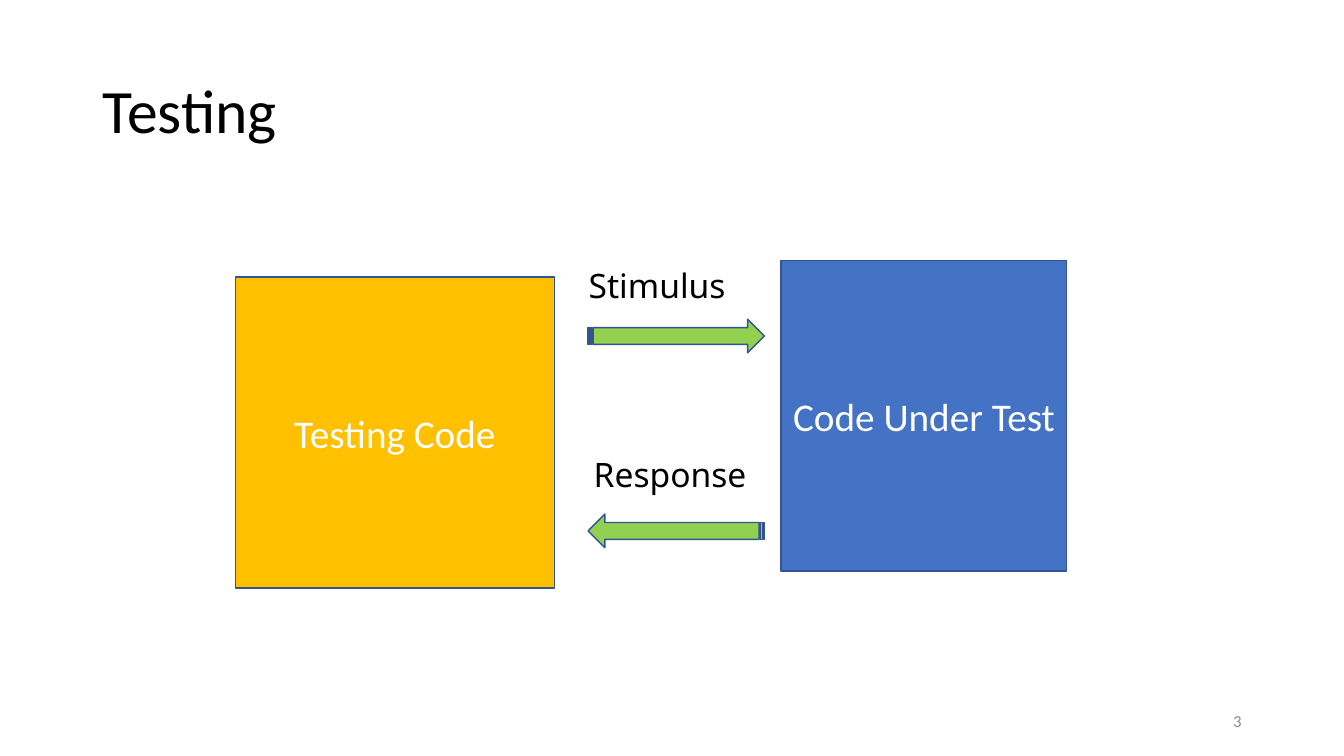
from pptx import Presentation
from pptx import util as u
from pptx.dml.color import RGBColor
from pptx.enum import shapes, text

COLUMNS, ROWS = 160, 90
CELL = u.Inches(1) / 12
OUTLINE, GREEN, AMBER, BLUE = "325491", "92D050", "FFC000", "4472C4"
BLACK, WHITE, GREY = "000000", "FFFFFF", "8C8C8C"


def grid(*cells):
    """Turn counts of grid cells into slide lengths."""
    return [u.Emu(round(count * CELL)) for count in cells]


def paint(target, colour):
    """Give a fill or a line's fill a solid colour from a hex string."""
    target.solid()
    target.fore_color.rgb = RGBColor.from_string(colour)


def write(shape, words, size, colour, font="Calibri", align=text.PP_ALIGN.LEFT,
          anchor=text.MSO_ANCHOR.MIDDLE, wrap=True, spacing=1.0):
    """Put formatted text into a shape."""
    frame = shape.text_frame
    frame.word_wrap = wrap
    frame.auto_size = text.MSO_AUTO_SIZE.NONE if wrap else text.MSO_AUTO_SIZE.SHAPE_TO_FIT_TEXT
    frame.vertical_anchor = anchor
    paragraph = frame.paragraphs[0]
    paragraph.alignment = align
    paragraph.line_spacing = spacing
    run = paragraph.add_run()
    run.text = words
    run.font.size = u.Pt(size)
    run.font.name = font
    paint(run.font.fill, colour)


def add_figure(slide, kind, cells, colour):
    """Add an outlined preset shape without a shadow."""
    shape = slide.shapes.add_shape(kind, *grid(*cells))
    shape.shadow.inherit = False
    paint(shape.fill, colour)
    paint(shape.line.fill, OUTLINE)
    shape.line.width = u.Pt(1)
    return shape


def add_block(slide, words, cells, colour):
    """Add a labelled block of code."""
    block = add_figure(slide, shapes.MSO_SHAPE.RECTANGLE, cells, colour)
    write(block, words, 28, WHITE, align=text.PP_ALIGN.CENTER)


def add_message(slide, words, label_cells, arrow_row, rotation=0):
    """Add a striped arrow between the blocks and its label."""
    arrow = add_figure(slide, shapes.MSO_SHAPE.STRIPED_RIGHT_ARROW,
                       (70, arrow_row, 21, 4), GREEN)
    arrow.rotation = rotation
    label = slide.shapes.add_textbox(*grid(*label_cells))
    write(label, words, 24, BLACK, font="Noto Sans",
          anchor=text.MSO_ANCHOR.TOP, wrap=False)


def add_title(slide, words):
    """Place and fill the title placeholder."""
    title = slide.shapes.title
    title.left, title.top, title.width, title.height = grid(11, 4.8, 138, 17.4)
    write(title, words, 44, BLACK, spacing=0.9)


def add_page_number(slide, number):
    """Add the page number at the lower right."""
    box = slide.shapes.add_textbox(*grid(113, 83.4, 36, 4.8))
    write(box, number, 12, GREY, align=text.PP_ALIGN.RIGHT)


def main():
    """Build the slide and save it."""
    presentation = Presentation()
    presentation.slide_width, presentation.slide_height = grid(COLUMNS, ROWS)
    slide = presentation.slides.add_slide(presentation.slide_layouts[5])
    add_page_number(slide, "3")
    add_title(slide, "Testing")
    add_block(slide, "Code Under Test", (93, 31, 34, 37), BLUE)
    add_block(slide, "Testing Code", (28, 33, 38, 37), AMBER)
    add_message(slide, "Stimulus", (68.9, 31, 21.1, 6), 38)
    add_message(slide, "Response", (69.5, 53.4, 22, 6), 61.2, rotation=180)
    presentation.save("out.pptx")


main()
